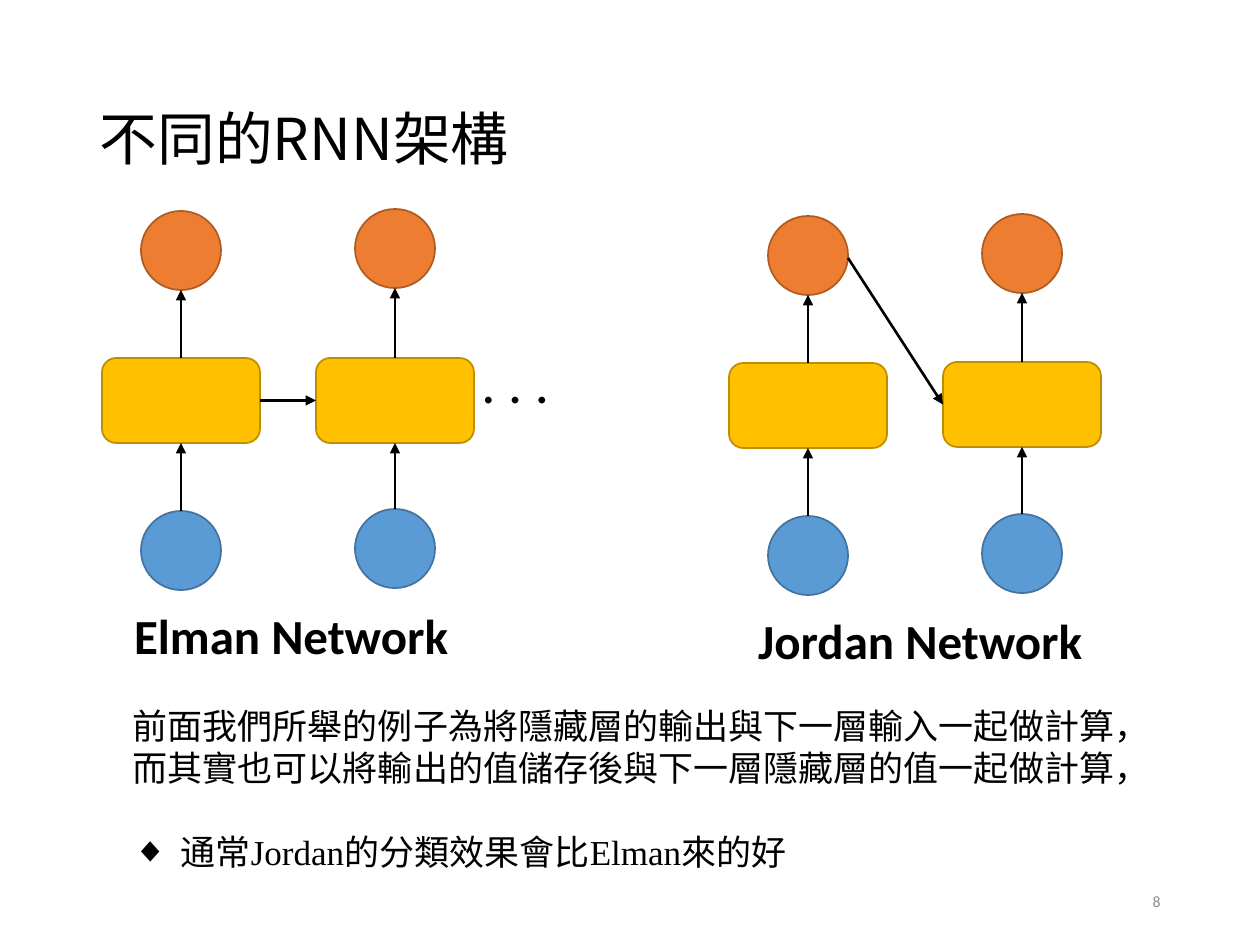
from dataclasses import dataclass

from lxml.etree import SubElement
from pptx import Presentation
from pptx.dml.color import RGBColor
from pptx.enum.shapes import MSO_CONNECTOR, MSO_SHAPE
from pptx.enum.text import MSO_ANCHOR, MSO_AUTO_SIZE, PP_ALIGN
from pptx.oxml.ns import qn
from pptx.util import Emu, Pt

PX = 914400 / 126
TOP, LEFT, BOTTOM, RIGHT = range(4)


@dataclass(frozen=True)
class Theme:
    # Colours
    black: str = "000000"
    grey: str = "8C8C8C"
    blue: tuple = ("5B9BD5", "43739E")
    gold: tuple = ("FFC000", "BD8E00")
    orange: tuple = ("ED7D31", "AF5C24")
    # Fonts
    cjk: str = "Noto Sans CJK SC"
    sans: str = "Calibri"
    serif: str = "Times New Roman"
    # Type sizes
    title: int = 33
    dots: int = 32
    caption: int = 28
    body: int = 20
    number: int = 9


def px(*lengths):
    return [Emu(round(length * PX)) for length in lengths]


class SlideBuilder:
    def __init__(self, slide, theme):
        self.slide, self.theme = slide, theme

    def format_span(self, span, size, font, color=None, bold=False):
        span.font.size, span.font.name, span.font.bold = Pt(size), font, bold
        span.font.color.rgb = RGBColor.from_string(color or self.theme.black)
        east_asian = SubElement(span.font._element, qn("a:ea"))
        east_asian.set("typeface", self.theme.cjk)

    def place(self, box, left, top, width, height):
        box.left, box.top, box.width, box.height = px(left, top, width, height)
        box.text_frame.word_wrap = True
        box.text_frame.auto_size = MSO_AUTO_SIZE.NONE

    def title(self, text, *area):
        box = self.slide.shapes.title
        self.place(box, *area)
        box.text_frame.vertical_anchor = MSO_ANCHOR.MIDDLE
        box.text_frame.text = text
        para = box.text_frame.paragraphs[0]
        para.alignment, para.line_spacing = PP_ALIGN.LEFT, 0.9
        self.format_span(para.runs[0], self.theme.title, self.theme.cjk)

    def text(self, text, area, size, align=PP_ALIGN.LEFT,
             anchor=MSO_ANCHOR.TOP, color=None, bold=False):
        box = self.slide.shapes.add_textbox(*px(*area))
        self.place(box, *area)
        box.text_frame.vertical_anchor = anchor
        box.text_frame.text = text
        para = box.text_frame.paragraphs[0]
        para.alignment = align
        self.format_span(para.runs[0], size, self.theme.sans, color, bold)

    def body(self, intro, bullet_spans, *area):
        box = self.slide.placeholders[1]
        self.place(box, *area)
        frame = box.text_frame
        frame.vertical_anchor = MSO_ANCHOR.TOP
        paragraphs = [
            (frame.paragraphs[0], [(intro, self.theme.cjk)], None, 0),
            (frame.add_paragraph(), bullet_spans, "◆", 24),
        ]
        for para, spans, bullet, gap in paragraphs:
            indent = px(48)[0] if bullet else 0
            properties = para._p.get_or_add_pPr()
            properties.set("marL", str(indent))
            properties.set("indent", str(-indent))
            if bullet:
                SubElement(properties, qn("a:buChar")).set("char", bullet)
            else:
                SubElement(properties, qn("a:buNone"))
            para.alignment = PP_ALIGN.LEFT
            para.line_spacing, para.space_before = Pt(24), Pt(gap)
            for text, font in spans:
                span = para.add_run()
                span.text = text
                self.format_span(span, self.theme.body, font)

    def node(self, kind, center, top, width, height, colors):
        shape = self.slide.shapes.add_shape(
            kind, *px(center - width / 2, top, width, height))
        fill, line = colors
        shape.shadow.inherit = False
        shape.fill.solid()
        shape.fill.fore_color.rgb = RGBColor.from_string(fill)
        shape.line.color.rgb = RGBColor.from_string(line)
        shape.line.width = Pt(1)
        return shape

    def arrow(self, start, end):
        """Each end is a shape and the side it is joined to, or a plain point."""
        arrow = self.slide.shapes.add_connector(MSO_CONNECTOR.STRAIGHT, 0, 0, 0, 0)
        if isinstance(start[0], int):
            arrow.begin_x, arrow.begin_y = start
        else:
            arrow.begin_connect(*start)
        if isinstance(end[0], int):
            arrow.end_x, arrow.end_y = end
        else:
            arrow.end_connect(*end)
        arrow.line.color.rgb = RGBColor.from_string(self.theme.black)
        arrow.line.width = Pt(1.5)
        SubElement(arrow.line._get_or_add_ln(), qn("a:tailEnd")).set("type", "triangle")
        SubElement(arrow._element.spPr, qn("a:effectLst"))

    def time_step(self, center, output_top, hidden_top):
        """Input, hidden layer and output stacked and joined upwards."""
        circle = (80, 79)
        source = self.node(MSO_SHAPE.OVAL, center, output_top + 300,
                           *circle, self.theme.blue)
        hidden = self.node(MSO_SHAPE.ROUNDED_RECTANGLE, center, hidden_top,
                           158, 85, self.theme.gold)
        output = self.node(MSO_SHAPE.OVAL, center, output_top,
                           *circle, self.theme.orange)
        self.arrow((source, TOP), (hidden, BOTTOM))
        self.arrow((hidden, TOP), px(center, output_top + circle[1]))
        return hidden, output


def main():
    deck = Presentation()
    deck.slide_width, deck.slide_height = px(1260, 945)
    theme = Theme()
    page = SlideBuilder(deck.slides.add_slide(deck.slide_layouts[1]), theme)
    page.title("不同的RNN架構", 87, 50, 1086, 183)

    # Elman network: hidden layer feeds the next hidden layer
    first_hidden, _ = page.time_step(181, 211, 358)
    next_hidden, _ = page.time_step(395, 209, 358)
    page.arrow((first_hidden, RIGHT), (next_hidden, LEFT))
    page.text(". . .", (469, 341, 312, 81), theme.dots)

    # Jordan network: output feeds the next hidden layer
    _, first_output = page.time_step(808, 216, 363)
    next_hidden, _ = page.time_step(1022, 214, 362)
    output_right = (first_output.left + first_output.width, px(258)[0])
    page.arrow(output_right, (next_hidden, LEFT))

    # Captions
    for name, left, top in [("Elman Network", 87, 599), ("Jordan Network", 716, 604)]:
        page.text(name, (left, top, 408, 72), theme.caption,
                  align=PP_ALIGN.CENTER, bold=True)

    # Explanation and page number
    page.body(
        "前面我們所舉的例子為將隱藏層的輸出與下一層輸入一起做計算，"
        "而其實也可以將輸出的值儲存後與下一層隱藏層的值一起做計算，",
        [("通常", theme.cjk), ("Jordan的分類效果會比Elman來的好", theme.serif)],
        120, 698, 1031, 183)
    page.text("8", (890, 876, 283, 50), theme.number, align=PP_ALIGN.RIGHT,
              anchor=MSO_ANCHOR.MIDDLE, color=theme.grey)

    deck.save("out.pptx")


if __name__ == "__main__":
    main()
